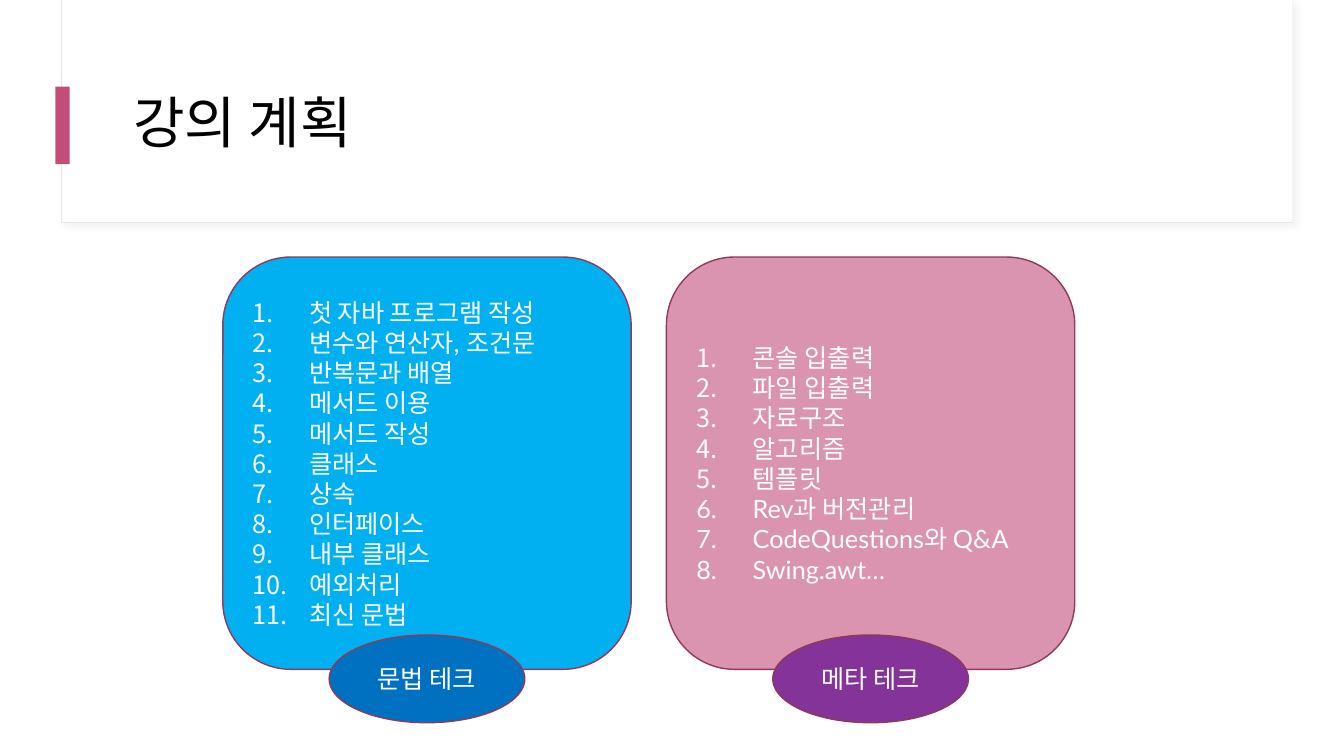
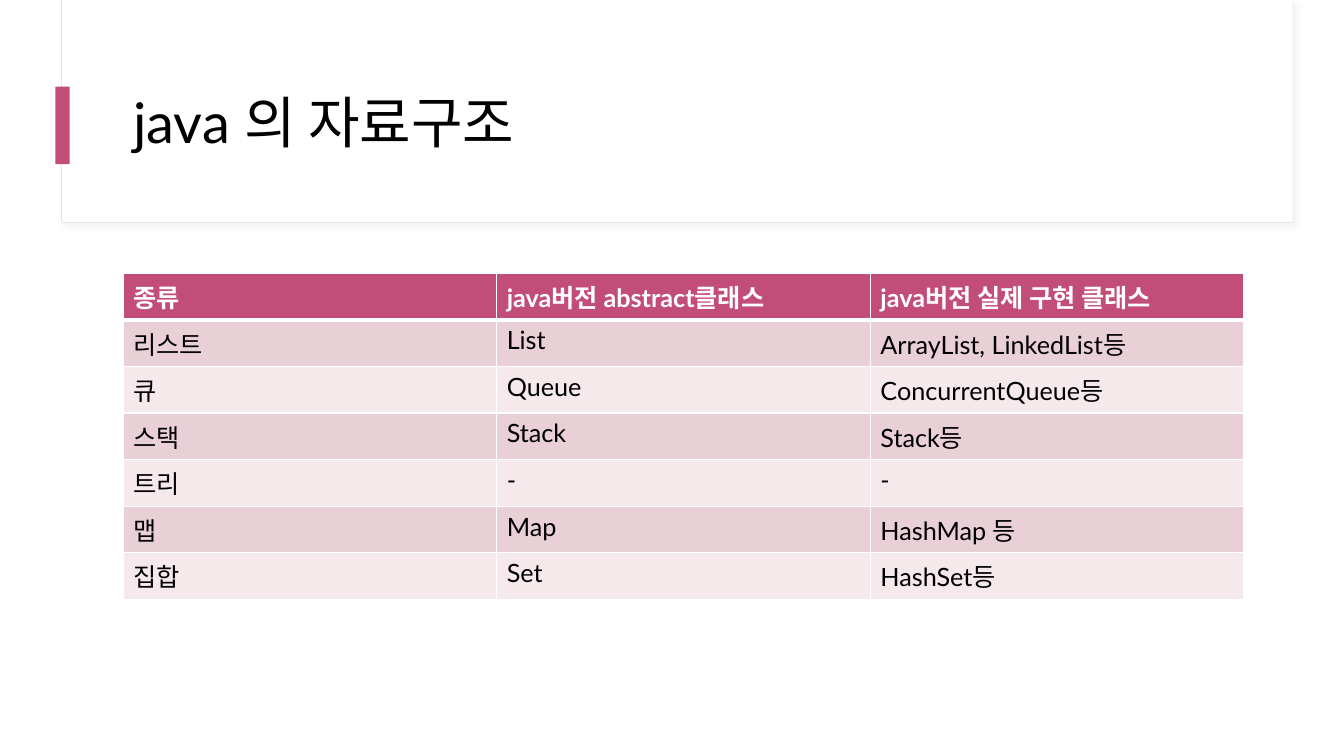
from pptx import Presentation
from pptx.dml.color import RGBColor
from pptx.enum.shapes import MSO_SHAPE as Form
from pptx.enum.text import MSO_ANCHOR as Anchor, PP_ALIGN as Align
from pptx.oxml import parse_xml
from pptx.oxml.ns import nsdecls
from pptx.util import Inches, Pt

# Content
PLAN = "강의 계획"
PANELS = [
    ("문법 테크", "00B0F0", "0070C0", [
        "첫 자바 프로그램 작성", "변수와 연산자, 조건문", "반복문과 배열",
        "메서드 이용", "메서드 작성", "클래스", "상속", "인터페이스",
        "내부 클래스", "예외처리", "최신 문법"]),
    ("메타 테크", "DB94AF", "843399", [
        "콘솔 입출력", "파일 입출력", "자료구조", "알고리즘", "템플릿",
        "Rev과 버전관리", "CodeQuestions와 Q&A", "Swing.awt…"]),
]
DATA = "java 의 자료구조"
ROWS = [
    ("종류", "java버전 abstract클래스", "java버전 실제 구현 클래스"),
    ("리스트", "List", "ArrayList, LinkedList등"),
    ("큐", "Queue", "ConcurrentQueue등"),
    ("스택", "Stack", "Stack등"),
    ("트리", "-", "-"),
    ("맵", "Map", "HashMap 등"),
    ("집합", "Set", "HashSet등"),
]

# Shared style
FONT = "Lato"
WHITE, BLACK = "FFFFFF", "000000"
ROSE, EDGE, FRAME = "C34D79", "90395A", "E5E5F0"
BANDS = ("F5E9EC", "E9D0D7")
LEFT, WIDE = 1.22, 11.12


def color(code):
    return RGBColor.from_string(code)


def style(par, size, code, bold=False, align=Align.LEFT):
    par.alignment = align
    for run in par.runs:
        font = run.font
        font.name, font.size, font.bold = FONT, Pt(size), bold
        font.color.rgb = color(code)


def draw(shapes, form, box, fill, line=None, width=1):
    shape = shapes.add_shape(form, *map(Inches, box))
    shape.shadow.inherit = False
    shape.fill.solid()
    shape.fill.fore_color.rgb = color(fill)
    if line:
        shape.line.color.rgb = color(line)
        shape.line.width = Pt(width)
    else:
        shape.line.fill.background()
    return shape


def cast(shape):
    """Give the shape a soft shadow down and to the right."""
    glow = parse_xml(
        f'<a:outerShdw {nsdecls("a")} blurRad="{Pt(4)}" dist="{Pt(3)}" '
        'dir="2700000" algn="tl" rotWithShape="0"><a:srgbClr val="D9D9D9">'
        '<a:alpha val="30000"/></a:srgbClr></a:outerShdw>')
    shape.element.spPr.find("{*}effectLst").append(glow)


def header(layout, slide):
    """Move the header band into the layout, behind its title."""
    for item in list(layout.placeholders):
        if item.placeholder_format.idx:
            item.element.getparent().remove(item.element)
    title = layout.placeholders[0]
    title.left, title.top, title.width, title.height = map(
        Inches, (LEFT, 0.6, WIDE, 1.29))
    frame = draw(slide.shapes, Form.RECTANGLE, (0.61, 0, 12.21, 2.21),
                 WHITE, FRAME, 0.75)
    cast(frame)
    panel = draw(slide.shapes, Form.RECTANGLE, (0.62, 0, 12.2, 2.2), WHITE)
    mark = draw(slide.shapes, Form.RECTANGLE, (0.55, 0.86, 0.14, 0.77), ROSE)
    for part in (frame, panel, mark):
        title.element.addprevious(part.element)


def start(deck, layout, text):
    slide = deck.slides.add_slide(layout)
    frame = slide.shapes.title.text_frame
    frame.text = text
    frame.vertical_anchor = Anchor.MIDDLE
    par = frame.paragraphs[0]
    par.line_spacing = 0.9
    style(par, 40, BLACK)
    return slide


def number(par):
    prop = par._p.get_or_add_pPr()
    prop.set("marL", str(Inches(0.56)))
    prop.set("indent", str(-Inches(0.56)))
    prop.append(parse_xml(
        f'<a:buAutoNum {nsdecls("a")} type="arabicPeriod"/>'))


def topic(slide, left, panel):
    """Draw a numbered list with its label on the lower edge."""
    name, fill, dark, items = panel
    width, oval = 4.05, 1.94
    group = slide.shapes.add_group_shape().shapes
    card = draw(group, Form.ROUNDED_RECTANGLE, (left, 2.55, width, 4.09),
                fill, EDGE)
    card.text_frame.text = "\n".join(items)
    for par in card.text_frame.paragraphs:
        style(par, 18, WHITE)
        number(par)
    label = draw(group, Form.OVAL,
                 (left + (width - oval) / 2, 6.3, oval, 0.87), dark, EDGE)
    label.text_frame.text = name
    style(label.text_frame.paragraphs[0], 18, WHITE, align=Align.CENTER)


def border(cell, row):
    prop = cell._tc.get_or_add_tcPr()
    sides = {"L": 1, "R": 1, "T": 3 if row == 1 else 1,
             "B": 3 if row == 0 else 1}
    for spot, (side, width) in enumerate(sides.items()):
        prop.insert(spot, parse_xml(
            f'<a:ln{side} {nsdecls("a")} w="{Pt(width)}"><a:solidFill>'
            f'<a:srgbClr val="{WHITE}"/></a:solidFill></a:ln{side}>'))


def grid(slide, rows):
    high = 0.41
    table = slide.shapes.add_table(
        len(rows), len(rows[0]), Inches(LEFT), Inches(2.71),
        Inches(WIDE), Inches(high * len(rows))).table
    table.horz_banding = False
    for r, row in enumerate(rows):
        table.rows[r].height = Inches(high)
        head = r == 0
        for c, text in enumerate(row):
            cell = table.cell(r, c)
            cell.text = text
            cell.fill.solid()
            cell.fill.fore_color.rgb = color(ROSE if head else BANDS[r % 2])
            border(cell, r)
            style(cell.text_frame.paragraphs[0], 18,
                  WHITE if head else BLACK, head)


def main():
    deck = Presentation()
    deck.slide_width, deck.slide_height = Inches(13.33), Inches(7.5)
    layout = deck.slide_layouts[5]

    # Course plan
    plan = start(deck, layout, PLAN)
    header(layout, plan)
    for i, panel in enumerate(PANELS):
        topic(plan, 2.21 + 4.4 * i, panel)

    # Data structures
    grid(start(deck, layout, DATA), ROWS)
    deck.save("out.pptx")


if __name__ == "__main__":
    main()
